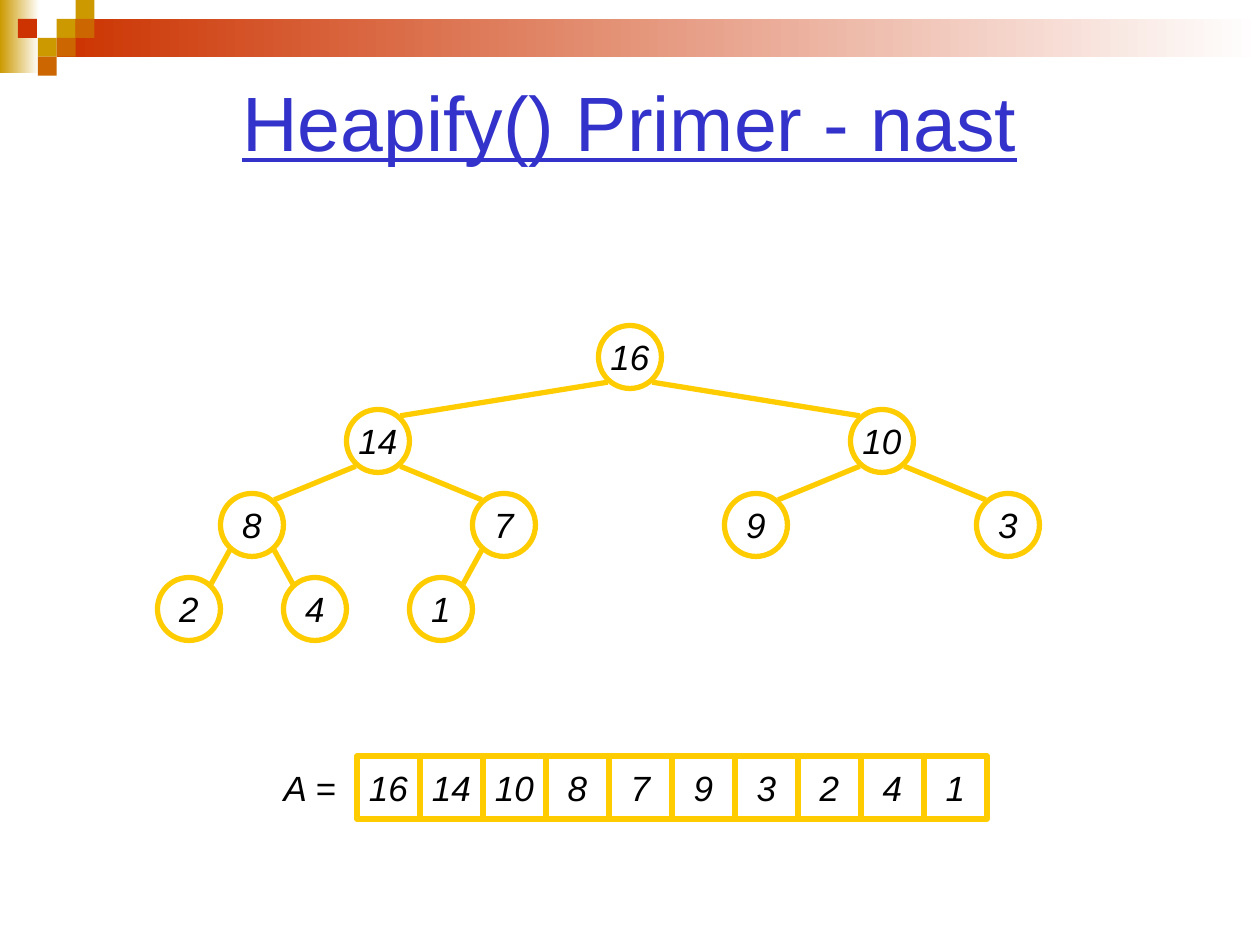
import pptx
import pptx.util
import pptx.dml.color
import pptx.enum.shapes
import pptx.enum.text
import pptx.oxml

HUES = {"gold": "CC9900", "red": "CC3300", "rust": "CC6600", "white": "FFFFFF",
        "blue": "3333CC", "edge": "FFCC00", "ink": "000000"}
KINDS = pptx.enum.shapes.MSO_SHAPE
HEAP = [16, 14, 10, 8, 7, 9, 3, 2, 4, 1]

deck = pptx.Presentation()
deck.slide_width = pptx.util.Inches(10)
deck.slide_height = pptx.util.Inches(7.5)
slide = deck.slides.add_slide(deck.slide_layouts[6])
COLS = 120
unit = deck.slide_width / COLS
rgb = {name: pptx.dml.color.RGBColor.from_string(code) for name, code in HUES.items()}


def block(kind, left, top, wide, high, fill, line=None):
    spot = [round(n * unit) for n in (left, top, wide, high)]
    shape = slide.shapes.add_shape(kind, *spot)
    shape.shadow.inherit = False
    if fill.startswith("fade "):
        shape.fill.gradient()
        shape.fill.gradient_angle = 0
        for stop, hue in zip(shape.fill.gradient_stops, (fill[5:], "white")):
            stop.color.rgb = rgb[hue]
    else:
        shape.fill.solid()
        shape.fill.fore_color.rgb = rgb[fill]
    if line:
        shape.line.color.rgb = rgb[line]
        shape.line.width = pptx.util.Pt(3)
    else:
        shape.line.fill.background()
    return shape


def label(shape, text, size=20, hue="ink", wrap=False):
    frame = shape.text_frame
    frame.word_wrap = wrap
    frame.vertical_anchor = pptx.enum.text.MSO_ANCHOR.MIDDLE
    para = frame.paragraphs[0]
    para.alignment = pptx.enum.text.PP_ALIGN.CENTER
    run = para.add_run()
    run.text = text
    run.font.name = "Arial"
    run.font.size = pptx.util.Pt(size)
    run.font.color.rgb = rgb[hue]
    return run


TILE = 1.8
block(KINDS.RECTANGLE, 0, 0, 3.75, 7, "fade gold")
block(KINDS.RECTANGLE, 3 * TILE, TILE, COLS - 3 * TILE, 2 * TILE, "fade red")
tiles = [(3, 1, "gold"), (4, 0, "gold"), (4, 1, "rust"), (2, 2, "gold"),
         (0.95, 1, "red"), (3, 2, "rust"), (2, 3, "rust")]
for col, row, hue in tiles:
    block(KINDS.RECTANGLE, col * TILE, row * TILE, TILE, TILE, hue)

spot = [round(n * unit) for n in (6, 6, 108, 11)]
title = label(slide.shapes.add_textbox(*spot), "Heapify() Primer - nast", 44, "blue", True)
title.font.underline = True

NODE = 6
mids = []
for rank, value in enumerate(HEAP, 1):
    depth = rank.bit_length() - 1
    width = 2 ** depth
    mid = (12 + (2 * (rank - width) + 1) * 48 / width, 34 + 8 * depth)
    mids.append(mid)
    node = block(KINDS.OVAL, mid[0] - NODE / 2, mid[1] - NODE / 2, NODE, NODE, "white", "edge")
    label(node, str(value)).font.italic = True

for child in range(1, len(HEAP)):
    (px, py), (cx, cy) = mids[(child - 1) // 2], mids[child]
    side = 2.12 if cx > px else -2.12
    ends = [round(n * unit) for n in (px + side, py + 2.4, cx - side, cy - 2.4)]
    edge = slide.shapes.add_connector(pptx.enum.shapes.MSO_CONNECTOR.STRAIGHT, *ends)
    edge.line.color.rgb = rgb["edge"]
    edge.line.width = pptx.util.Pt(3)
    edge._element.spPr.append(pptx.oxml.parse_xml(
        '<a:effectLst xmlns:a="http://schemas.openxmlformats.org/drawingml/2006/main"/>'))

for place, value in enumerate(HEAP):
    cell = block(KINDS.RECTANGLE, 34 + place * NODE, 72, NODE, NODE, "white", "edge")
    label(cell, str(value)).font.italic = True

spot = [round(n * unit) for n in (25, 72, 9, NODE)]
label(slide.shapes.add_textbox(*spot), "A =").font.italic = True

deck.save("out.pptx")
